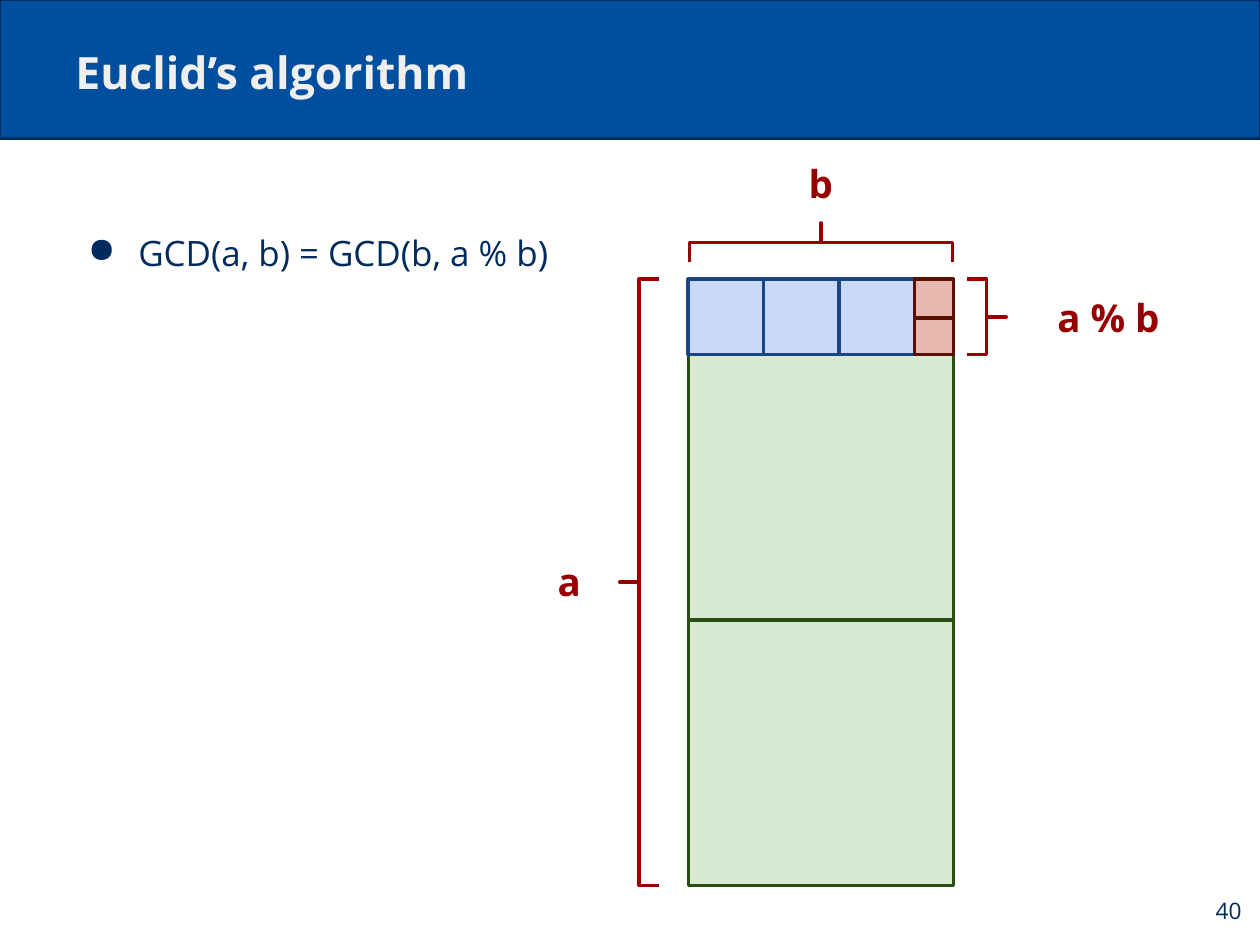
from dataclasses import dataclass

from lxml import etree
from pptx import Presentation
from pptx import util as u
from pptx.dml import color
from pptx.enum import shapes, text
from pptx.oxml import ns

FONT = "Open Sans"
NAVY, RED = "002B5E", "980000"
LEFT, TOP = 6.02, 2.44
SIDE_B, REMAINDER, UNIT = 2.32, 0.66, 0.34
SIDE_A = 2 * SIDE_B + REMAINDER
BRACE_DEPTH = 0.34


@dataclass
class Tiles:
    left: float
    top: float
    size: float
    count: int
    dx: float
    dy: float
    fill: str
    line: str


@dataclass
class Measure:
    label: str
    label_box: tuple[float, float, float, float]
    left: float
    top: float
    length: float
    rotation: int


TILES = [
    Tiles(LEFT, TOP + REMAINDER, SIDE_B, 2, 0, SIDE_B, "D9EAD3", "274E13"),
    Tiles(LEFT, TOP, REMAINDER, 3, REMAINDER, 0, "C9DAF8", "1C4587"),
    Tiles(LEFT + SIDE_B - UNIT, TOP, UNIT, 2, 0, REMAINDER - UNIT, "E6B8AF", "5B0F00"),
]
MEASURES = [
    Measure("a", (4.55, 4.8, 0.86, 0.56), 5.42, TOP, SIDE_A, 0),
    Measure("b", (6.75, 1.32, 0.86, 0.56), 7.01, 0.97, 2.3, 90),
    Measure("a % b", (8.92, 2.49, 1.55, 0.56), 8.46, TOP, REMAINDER, 180),
]


def rgb(value: str) -> color.RGBColor:
    return color.RGBColor.from_string(value)


def add_outline(s, kind, left: float, top: float, width: float, height: float,
                line: str, fill: str | None = None, weight: float = 2.25):
    sp = s.shapes.add_shape(kind, *map(u.Inches, (left, top, width, height)))
    sp.shadow.inherit = False
    if fill:
        sp.fill.solid()
        sp.fill.fore_color.rgb = rgb(fill)
    else:
        sp.fill.background()
    sp.line.color.rgb = rgb(line)
    sp.line.width = u.Pt(weight)
    return sp


def write(sp, words: str, *, size: float, ink: str, bold: bool = False,
          align=text.PP_ALIGN.LEFT, anchor=text.MSO_ANCHOR.MIDDLE,
          spacing: float = 1.0, bullet: str | None = None) -> None:
    tf = sp.text_frame
    tf.word_wrap = True
    tf.auto_size = text.MSO_AUTO_SIZE.NONE
    tf.vertical_anchor = anchor
    tf.margin_left = tf.margin_right = tf.margin_top = tf.margin_bottom = u.Inches(0.11)
    p = tf.paragraphs[0]
    p.alignment = align
    p.line_spacing = spacing
    if bullet:
        pPr = p._p.get_or_add_pPr()
        pPr.set("marL", str(u.Inches(0.55)))
        pPr.set("indent", str(u.Inches(-0.44)))
        bu_color = etree.SubElement(pPr, ns.qn("a:buClr"))
        etree.SubElement(bu_color, ns.qn("a:srgbClr")).set("val", ink)
        etree.SubElement(pPr, ns.qn("a:buChar")).set("char", bullet)
    r = p.add_run()
    r.text = words
    r.font.name = FONT
    r.font.size = u.Pt(size)
    r.font.bold = bold
    r.font.color.rgb = rgb(ink)


def add_text(s, box: tuple[float, float, float, float], words: str, **fmt) -> None:
    write(s.shapes.add_textbox(*map(u.Inches, box)), words, **fmt)


def add_tiles(s, tiles: Tiles) -> None:
    for i in reversed(range(tiles.count)):
        add_outline(s, shapes.MSO_SHAPE.RECTANGLE, tiles.left + i * tiles.dx,
                    tiles.top + i * tiles.dy, tiles.size, tiles.size,
                    tiles.line, tiles.fill)


def add_measure(s, m: Measure) -> None:
    brace = add_outline(s, shapes.MSO_SHAPE.LEFT_BRACE, m.left, m.top,
                        BRACE_DEPTH, m.length, RED)
    brace.adjustments[0] = 0
    brace.adjustments[1] = 0.5
    brace.rotation = m.rotation
    add_text(s, m.label_box, m.label, size=24.2, ink=RED, bold=True,
             align=text.PP_ALIGN.CENTER)


def main() -> None:
    prs = Presentation()
    prs.slide_width, prs.slide_height = u.Inches(11.02), u.Inches(8.27)
    s = prs.slides.add_slide(prs.slide_layouts[5])

    banner = add_outline(s, shapes.MSO_SHAPE.RECTANGLE, 0, 0, 11.02, 1.21,
                         NAVY, "004F9E", 1.5)
    title = s.shapes.title
    title._element.addprevious(banner._element)
    title.left, title.top = u.Inches(0.55), u.Inches(0.24)
    title.width, title.height = u.Inches(9.92), u.Inches(0.73)
    write(title, "Euclid’s algorithm", size=28, ink="EFEFEF", bold=True,
          anchor=text.MSO_ANCHOR.BOTTOM)

    add_text(s, (0.55, 1.55, 4.83, 0.87), "GCD(a, b) = GCD(b, a % b)", size=22,
             ink=NAVY, anchor=text.MSO_ANCHOR.TOP, spacing=2.0, bullet="●")
    for tiles in TILES:
        add_tiles(s, tiles)
    for m in MEASURES:
        add_measure(s, m)
    add_text(s, (10.31, 7.64, 0.66, 0.63), "40", size=14.3, ink=NAVY,
             align=text.PP_ALIGN.RIGHT)
    prs.save("out.pptx")


if __name__ == "__main__":
    main()
